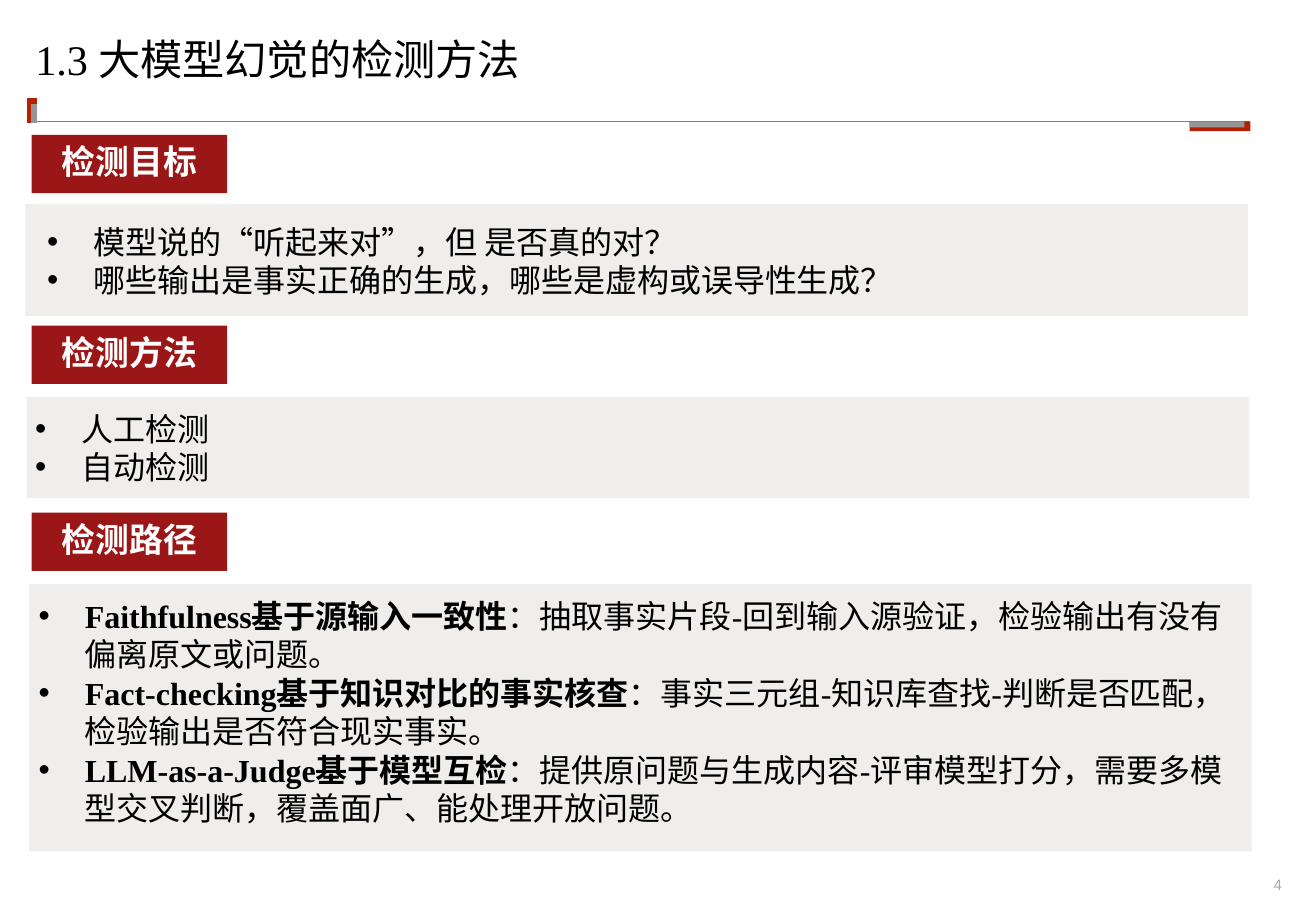
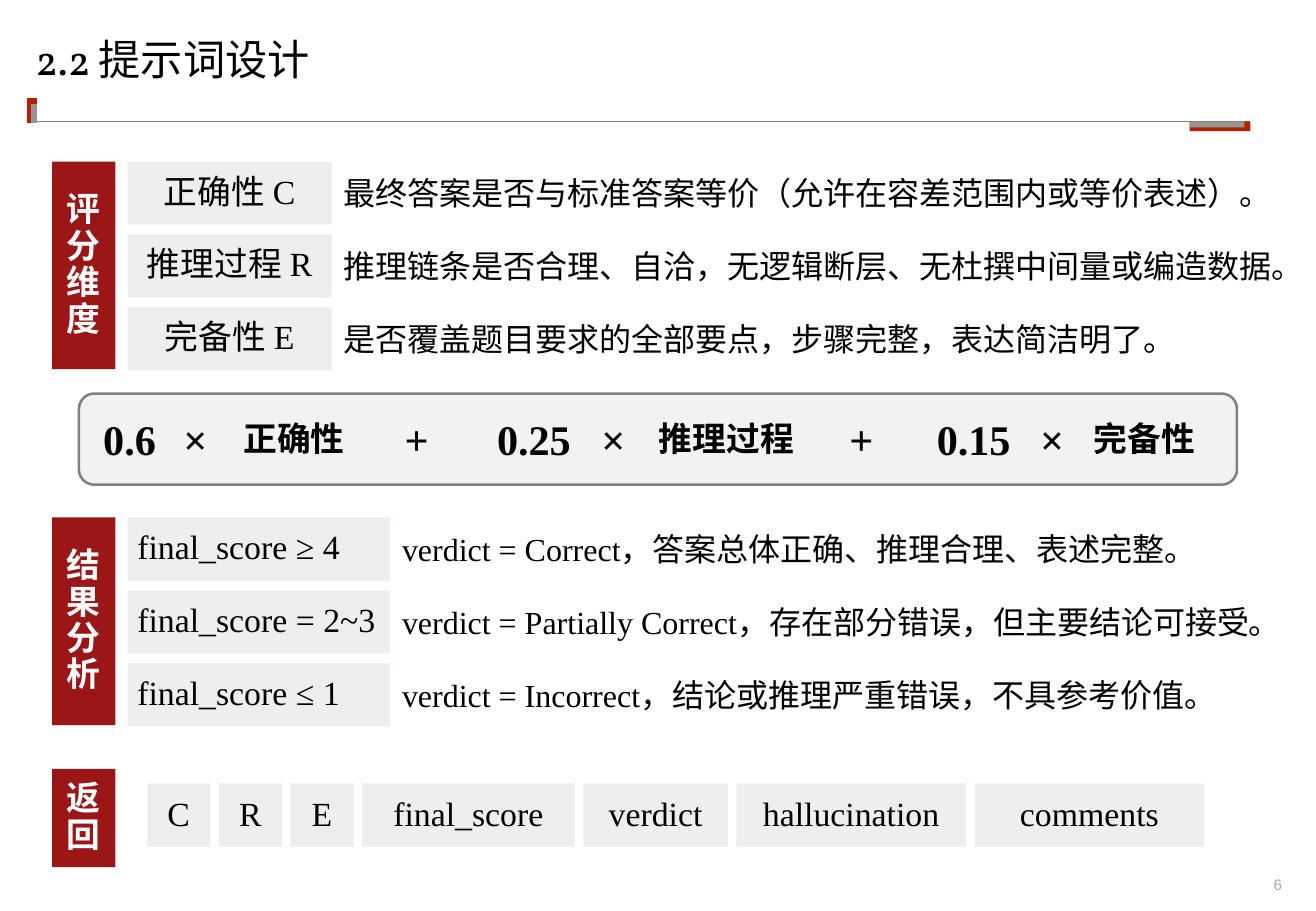
from lxml.etree import SubElement
from pptx import Presentation
from pptx.dml.color import RGBColor
from pptx.enum.lang import MSO_LANGUAGE_ID
from pptx.enum.shapes import MSO_CONNECTOR, MSO_SHAPE
from pptx.enum.text import MSO_ANCHOR, PP_ALIGN
from pptx.oxml.ns import qn
from pptx.util import Inches, Pt

BLACK = RGBColor(0x00, 0x00, 0x00)
WHITE = RGBColor(0xFF, 0xFF, 0xFF)
CRIMSON = RGBColor(0x9B, 0x17, 0x17)
PANEL = RGBColor(0xEF, 0xEE, 0xEC)
FORMULA_FILL = RGBColor(0xF2, 0xF2, 0xF2)
RULE_GRAY = RGBColor(0x80, 0x80, 0x80)
ACCENT_RED = RGBColor(0xB4, 0x21, 0x00)
ACCENT_GRAY = RGBColor(0x96, 0x96, 0x96)
NUMBER_GRAY = RGBColor(0xAD, 0xAB, 0xA1)
SERIF = "Times New Roman"
TAG_HEIGHT = 0.52


def add_block(slide, left, top, width, height, fill, shape=MSO_SHAPE.RECTANGLE):
    block = slide.shapes.add_shape(
        shape, Inches(left), Inches(top), Inches(width), Inches(height))
    block.shadow.inherit = False
    block.fill.solid()
    block.fill.fore_color.rgb = fill
    block.line.fill.background()
    return block


def write(slide, box, text, size=19, color=BLACK, bold=False, font=SERIF,
          fill=None, align=PP_ALIGN.LEFT, anchor=MSO_ANCHOR.TOP,
          insets=(0.1, 0.05), spacing=None, wrap=True, bulleted=False):
    """Put text at box (left, top, width, height), on a filled block if fill is set.

    In bulleted text, the part of each line before a colon is bold.
    """
    if fill is None:
        target = slide.shapes.add_textbox(*[Inches(length) for length in box])
    else:
        target = add_block(slide, *box, fill)
    frame = target.text_frame
    frame.word_wrap = wrap
    frame.vertical_anchor = anchor
    frame.margin_left = frame.margin_right = Inches(insets[0])
    frame.margin_top = frame.margin_bottom = Inches(insets[1])
    frame.text = text
    for paragraph in frame.paragraphs:
        paragraph.alignment = align
        if spacing:
            paragraph.line_spacing = spacing
        if bulleted:
            properties = paragraph._p.get_or_add_pPr()
            properties.set("marL", str(Inches(0.38)))
            properties.set("indent", str(-Inches(0.38)))
            SubElement(properties, qn("a:buFont")).set("typeface", "Arial")
            SubElement(properties, qn("a:buChar")).set("char", "•")
            lead, colon, rest = paragraph.text.partition("：")
            if colon:
                paragraph.text = lead
                paragraph.add_run().text = colon + rest
        for index, run in enumerate(paragraph.runs):
            run.font.name = font
            run.font.size = Pt(size)
            run.font.bold = bold or (len(paragraph.runs) > 1 and index == 0)
            run.font.color.rgb = color
            run.font.language_id = MSO_LANGUAGE_ID.SIMPLIFIED_CHINESE


LABEL = dict(size=20, align=PP_ALIGN.CENTER, anchor=MSO_ANCHOR.MIDDLE,
             insets=(0.08, 0.08), spacing=0.9)
HEADING = dict(LABEL, color=WHITE, bold=True, fill=CRIMSON)
TAG = dict(LABEL, fill=PANEL)
LEFT_TAG = dict(TAG, align=PP_ALIGN.LEFT)
TERM = dict(LABEL, bold=True)
FACTOR = dict(size=25, bold=True, insets=(0, 0), spacing=0.9, wrap=False)

prs = Presentation()
prs.slide_width = Inches(10.83)
prs.slide_height = Inches(7.5)

# Title, rules and page number on both slides
slides = []
for title, title_font, number in [
    ("1.3 大模型幻觉的检测方法", SERIF, "4"),
    ("2.2 提示词设计", "Vollkorn", "6"),
]:
    slide = prs.slides.add_slide(prs.slide_layouts[6])
    slides.append(slide)
    write(slide, (10.24, 7.21, 0.31, 0.15), number, size=9, color=NUMBER_GRAY,
          font="Arial", align=PP_ALIGN.RIGHT, anchor=MSO_ANCHOR.BOTTOM,
          insets=(0, 0), wrap=False)
    for x1, y1, x2, y2, color, weight in [
        (0.3, 1, 10.28, 1, RULE_GRAY, 1),
        (0.26, 1.01, 0.26, 0.81, ACCENT_RED, 6),
        (0.28, 1.01, 0.28, 0.86, ACCENT_GRAY, 3),
    ]:
        rule = slide.shapes.add_connector(
            MSO_CONNECTOR.STRAIGHT, Inches(x1), Inches(y1), Inches(x2), Inches(y2))
        rule.line.color.rgb = color
        rule.line.width = Pt(weight)
        SubElement(rule._element.spPr, qn("a:effectLst"))
    add_block(slide, 9.79, 1, 0.5, 0.08, ACCENT_RED)
    add_block(slide, 9.79, 1, 0.45, 0.05, ACCENT_GRAY)
    write(slide, (0.29, 0.32, 10.25, 0.67), title, size=25, font=title_font,
          insets=(0, 0), spacing=0.9)

detection, prompt = slides

# Slide 1: headings, each above a panel of bullets
for heading, heading_top, panel, bullets_at, bullets in [
    ("检测目标", 1.11, (0.21, 1.68, 10.06, 0.92), (0.29, 1.78, 9.94, 0.74),
     ["模型说的“听起来对”，但 是否真的对？",
      "哪些输出是事实正确的生成，哪些是虚构或误导性生成？"]),
    ("检测方法", 2.68, (0.22, 3.27, 10.06, 0.83), (0.19, 3.32, 9.94, 0.74),
     ["人工检测", "自动检测"]),
    ("检测路径", 4.22, (0.24, 4.81, 10.06, 2.2), (0.22, 4.86, 9.94, 2.02),
     ["Faithfulness基于源输入一致性：抽取事实片段-回到输入源验证，"
      "检验输出有没有偏离原文或问题。",
      "Fact-checking基于知识对比的事实核查：事实三元组-知识库查找-判断是否匹配，"
      "检验输出是否符合现实事实。",
      "LLM-as-a-Judge基于模型互检：提供原问题与生成内容-评审模型打分，"
      "需要多模型交叉判断，覆盖面广、能处理开放问题。"]),
]:
    write(detection, (0.26, heading_top, 1.61, 0.48), heading, **HEADING)
    add_block(detection, *panel, PANEL)
    write(detection, bullets_at, "\n".join(bullets), bulleted=True)

# Slide 2: side headings
for heading, top, height in [
    ("评分维度", 1.33, 1.71), ("结果分析", 4.26, 1.71), ("返回", 6.33, 0.81),
]:
    write(prompt, (0.43, top, 0.52, height), heading, **HEADING)

# Slide 2: scoring dimensions and verdicts, one tag and one explanation a row
for group_top, tag_width, tag_style, text_left, text_width, rows in [
    (1.33, 1.68, TAG, 2.73, 7.92, [
        ("正确性 C", "最终答案是否与标准答案等价（允许在容差范围内或等价表述）。"),
        ("推理过程 R", "推理链条是否合理、自洽，无逻辑断层、无杜撰中间量或编造数据。"),
        ("完备性 E", "是否覆盖题目要求的全部要点，步骤完整，表达简洁明了。"),
    ]),
    (4.26, 2.16, LEFT_TAG, 3.21, 7.32, [
        ("final_score ≥ 4", "verdict = Correct，答案总体正确、推理合理、表述完整。"),
        ("final_score = 2~3",
         "verdict = Partially Correct，存在部分错误，但主要结论可接受。"),
        ("final_score ≤ 1", "verdict = Incorrect，结论或推理严重错误，不具参考价值。"),
    ]),
]:
    for row, (tag, explanation) in enumerate(rows):
        top = group_top + 0.6 * row
        write(prompt, (1.05, top, tag_width, TAG_HEIGHT), tag, **tag_style)
        write(prompt, (text_left, top + 0.05, text_width, 0.42), explanation)

# Slide 2: weighted score formula
formula = add_block(prompt, 0.65, 3.24, 9.53, 0.75, FORMULA_FILL,
                    MSO_SHAPE.ROUNDED_RECTANGLE)
formula.line.color.rgb = RULE_GRAY
formula.line.width = Pt(1.5)
for factor, left, width in [
    ("0.6", 0.85, 0.44), ("×", 1.51, 0.2), ("+", 3.33, 0.2),
    ("0.25", 4.09, 0.61), ("×", 4.95, 0.2), ("+", 6.99, 0.2),
    ("0.15", 7.71, 0.61), ("×", 8.56, 0.2),
]:
    write(prompt, (left, 3.45, width, 0.38), factor, **FACTOR)
for term, left, width in [
    ("正确性", 1.71, 1.42), ("推理过程", 5.18, 1.6), ("完备性", 8.62, 1.6),
]:
    write(prompt, (left, 3.37, width, TAG_HEIGHT), term, **TERM)

# Slide 2: returned fields
field_left = 1.21
for field, width in [
    ("C", 0.52), ("R", 0.52), ("E", 0.52), ("final_score", 1.75),
    ("verdict", 1.19), ("hallucination", 1.89), ("comments", 1.89),
]:
    write(prompt, (field_left, 6.45, width, TAG_HEIGHT), field, **TAG)
    field_left += width + 0.07

prs.save("out.pptx")
